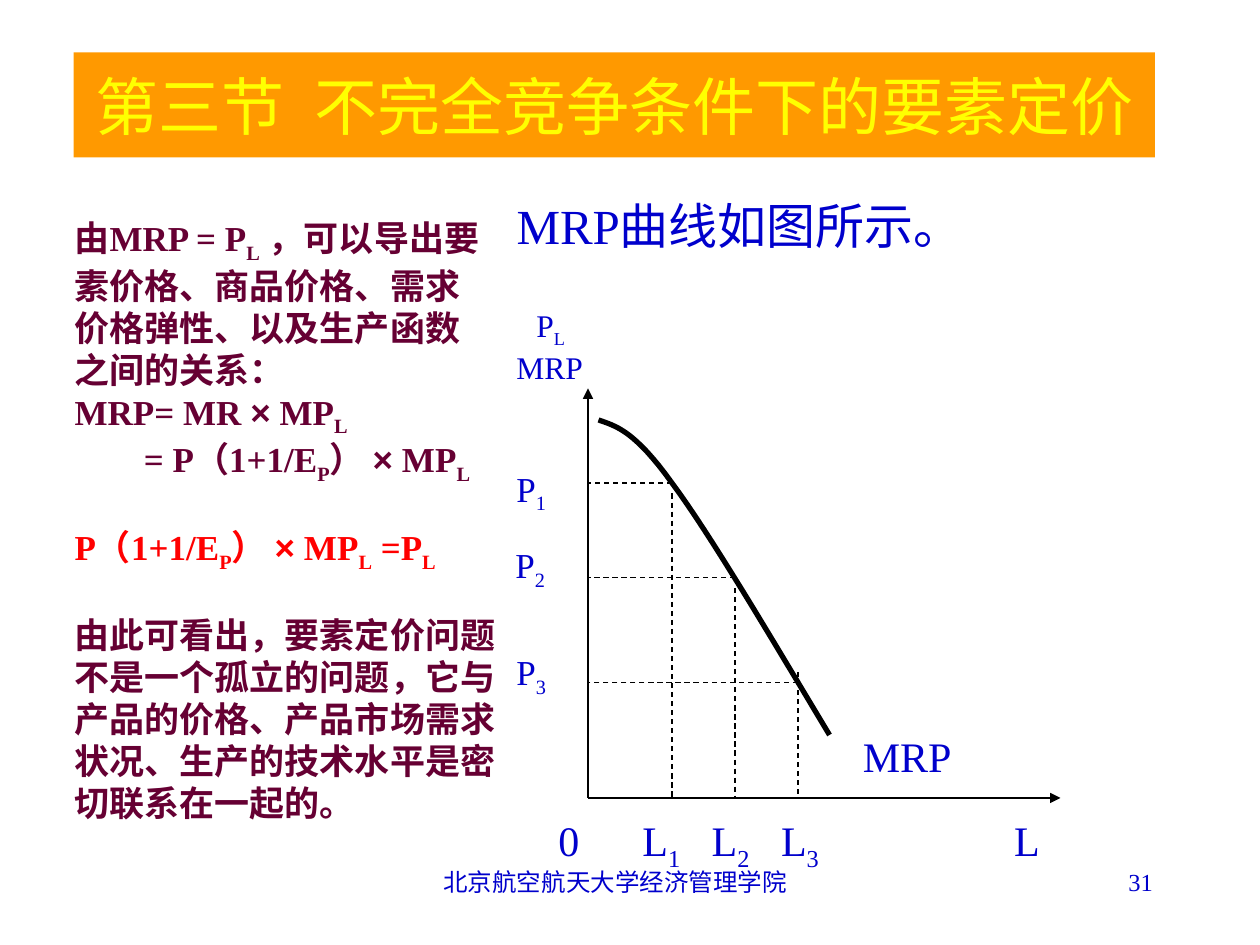
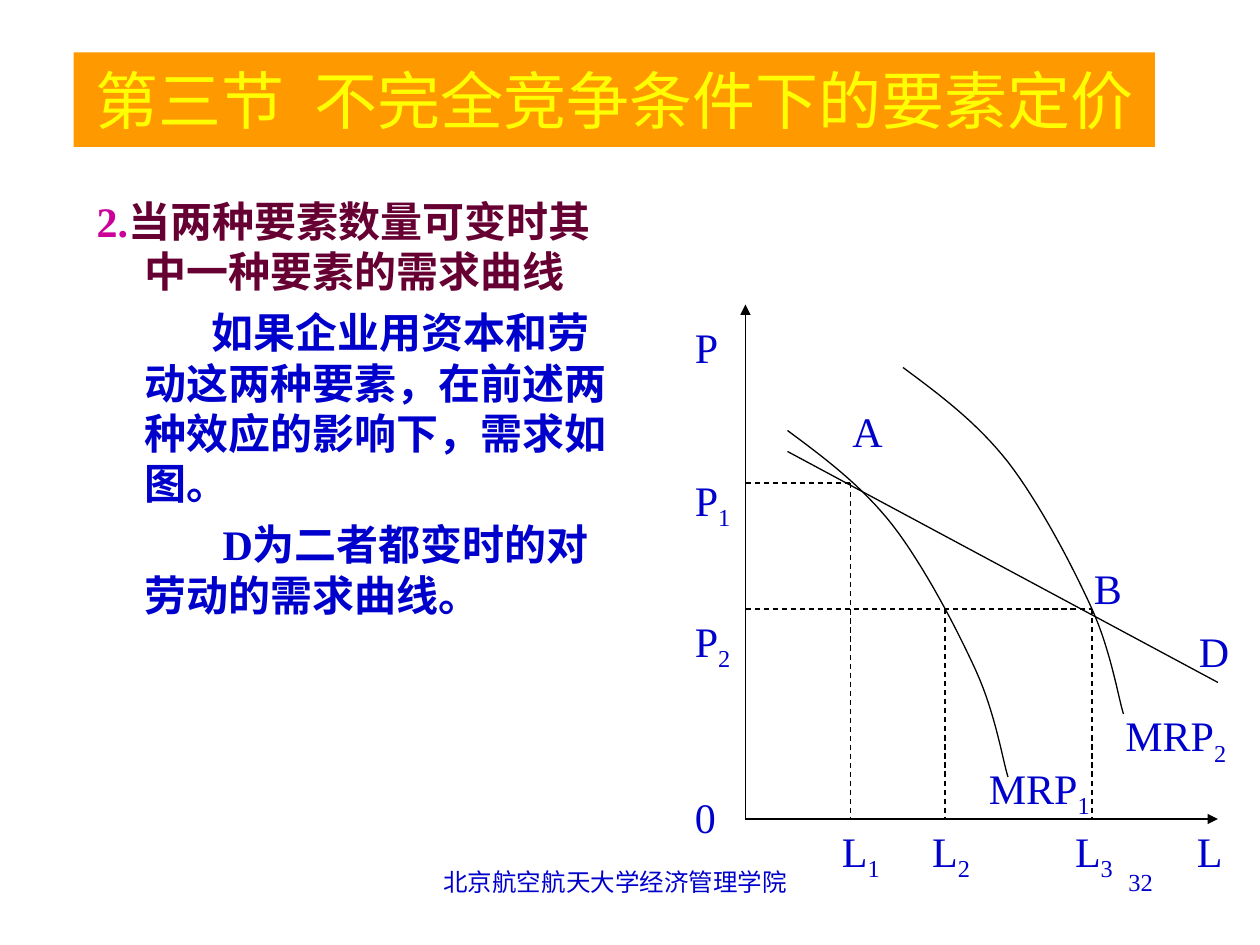
from lxml.etree import SubElement
from pptx import Presentation
from pptx.dml.color import RGBColor
from pptx.enum.dml import MSO_LINE
from pptx.enum.shapes import MSO_CONNECTOR
from pptx.enum.text import MSO_ANCHOR as ANCHOR, MSO_AUTO_SIZE as AUTO, PP_ALIGN as ALIGN
from pptx.oxml.ns import qn
from pptx.util import Emu, Pt

PX = 7620  # 120 px to the inch
ORANGE, YELLOW, BLUE = "FF9900", "FFFF00", "0000CC"
MAROON, RED, MAGENTA, BLACK = "660033", "FF0000", "CC0099", "000000"
TITLE = ("第三节", " ", "不完全竞争条件下的要素定价")
FOOTER = "北京航空航天大学经济管理学院"


def px(n):
    return Emu(round(n * PX))


def rgb(color):
    return RGBColor.from_string(color)


def pieces(text):
    """Split "P_1" markup into (text, is_subscript); "×" stands alone."""
    for i, part in enumerate(text.split("_")):
        if i:
            yield part[0], True
            part = part[1:]
        for piece in part.partition("×"):
            if piece:
                yield piece, False


def bezier(start, *segments):
    """Points along joined cubic curves, 16 steps for each segment."""
    points = [start]
    for c1, c2, end in segments:
        for t in (i / 16 for i in range(1, 17)):
            u = 1 - t
            points.append(tuple(
                u**3 * a + 3 * u * u * t * b + 3 * u * t * t * c + t**3 * d
                for a, b, c, d in zip(start, c1, c2, end)))
        start = end
    return points


class Deck:
    font = "Times New Roman"

    def __init__(self):
        self.prs = Presentation()
        self.prs.slide_width, self.prs.slide_height = px(1200), px(900)
        self.s = None

    def slide(self, layout, number, title_height):
        self.s = self.prs.slides.add_slide(self.prs.slide_layouts[layout])
        self.title(title_height)
        self.textbox(396, 820, 380, 60, FOOTER, 14, align=ALIGN.CENTER)
        self.textbox(860, 820, 250, 60, str(number), 14, align=ALIGN.RIGHT)

    def frame(self, sp, x, y, w, h, anchor=ANCHOR.TOP):
        """Place a text shape and return its text frame."""
        sp.left, sp.top, sp.width, sp.height = map(px, (x, y, w, h))
        tf = sp.text_frame
        tf.word_wrap, tf.auto_size, tf.vertical_anchor = True, AUTO.NONE, anchor
        return tf

    def run(self, p, text, size, color, bold=False, sub=False):
        r = p.add_run()
        r.text = text
        r.font.name = "Arial" if text == "×" else self.font
        r.font.size, r.font.bold = Pt(size), bold
        r.font.color.rgb = rgb(color)
        if sub:
            r.font._element.set("baseline", "-25000")
        return r

    def runs(self, p, text, size, color=BLUE, bold=False):
        for piece, sub in pieces(text):
            self.run(p, piece, size, color, bold, sub)

    def title(self, height):
        sp = self.s.shapes.title
        tf = self.frame(sp, 70, 50, 1030, height, ANCHOR.MIDDLE)
        sp.fill.solid()
        sp.fill.fore_color.rgb = rgb(ORANGE)
        p = tf.paragraphs[0]
        p.alignment = ALIGN.CENTER
        section, gap, topic = [self.run(p, t, 36, YELLOW) for t in TITLE]
        gap.font._element.set("spc", "900")

    def body(self, index, box, paragraphs, size, bold=True):
        """Fill a placeholder; a paragraph is (runs, space before, margin, indent)."""
        tf = self.frame(self.s.placeholders[index], *box)
        for i, (runs, before, margin, indent) in enumerate(paragraphs):
            p = tf.add_paragraph() if i else tf.paragraphs[0]
            pPr = p._p.get_or_add_pPr()
            pPr.set("marL", str(px(margin)))
            pPr.set("indent", str(px(indent)))
            SubElement(pPr, qn("a:buNone"))
            p.space_before = Pt(before)
            for text, color in runs:
                self.runs(p, text, size, color, bold)

    def textbox(self, x, y, w, h, text, size, align=ALIGN.LEFT):
        tf = self.frame(self.s.shapes.add_textbox(0, 0, 0, 0), x, y, w, h)
        p = tf.paragraphs[0]
        p.alignment = align
        self.runs(p, text, size)

    def label(self, x, y, text, size=24):
        width = 40 + 24 * len(text.replace("_", ""))
        self.textbox(x, y, width, 60, text, size)

    def line(self, x1, y1, x2, y2, dash=False, arrow=False):
        c = self.s.shapes.add_connector(
            MSO_CONNECTOR.STRAIGHT, *map(px, (x1, y1, x2, y2)))
        c.line.color.rgb, c.line.width = rgb(BLACK), Pt(0.75)
        if dash:
            c.line.dash_style = MSO_LINE.DASH
        if arrow:
            SubElement(c.line._get_or_add_ln(), qn("a:tailEnd"), type="triangle")
        SubElement(c._element.spPr, qn("a:effectLst"))

    def axes(self, x0, y0, x_end, y_end):
        self.line(x0, y0, x_end, y0, arrow=True)
        self.line(x0, y0, x0, y_end, arrow=True)

    def curve(self, points, width=0.75):
        (x0, y0), *rest = [(px(x), px(y)) for x, y in points]
        fb = self.s.shapes.build_freeform(x0, y0)
        fb.add_line_segments(rest, close=False)
        sp = fb.convert_to_shape()
        sp.shadow.inherit = False
        sp.fill.background()
        sp.line.color.rgb, sp.line.width = rgb(BLACK), Pt(width)


def mrp_curve_slide(d):
    d.slide(3, 31, 100)
    derivation = [
        ("由MRP = P_L ，可以导出要", MAROON, 0, 0),
        ("素价格、商品价格、需求", MAROON, 0, 0),
        ("价格弹性、以及生产函数", MAROON, 0, 0),
        ("之间的关系：", MAROON, 0, 0),
        ("MRP= MR × MP_L", MAROON, 0, 0),
        ("= P（1+1/E_P） × MP_L", MAROON, 0, 66),
        ("P（1+1/E_P） × MP_L =P_L", RED, 23, 0),
        ("由此可看出，要素定价问题", MAROON, 23, 0),
        ("不是一个孤立的问题，它与", MAROON, 0, 0),
        ("产品的价格、产品市场需求", MAROON, 0, 0),
        ("状况、生产的技术水平是密", MAROON, 0, 0),
        ("切联系在一起的。", MAROON, 0, 0),
    ]
    d.body(1, (59, 200, 448, 635),
           [([(text, color)], before, margin, 0)
            for text, color, before, margin in derivation], 20)
    d.body(2, (480, 180, 640, 90),
           [([("MRP曲线如图所示。", BLUE)], 0, 0, 0)], 28, bold=False)

    x0, y0 = 560, 760
    d.axes(x0, y0, 1010, 370)
    d.curve(bezier((570, 400), ((587, 406), (604, 410), (640, 460)),
                   ((677, 510), (733, 605), (790, 700))), 3)
    for x, price, top in ((640, 460, 470), (700, 550, 560), (760, 650, 640)):
        d.line(x, top, x, y0, dash=True)
        d.line(x, price, x0, price, dash=True)

    d.label(499, 286, "P_L", 18)
    d.label(480, 326, "MRP", 18)
    for x, y, text in ((480, 439, "P_1"), (479, 512, "P_2"), (480, 614, "P_3")):
        d.label(x, y, text, 20)
    for x, text in ((520, "0"), (600, "L_1"), (666, "L_2"), (732, "L_3"), (954, "L")):
        d.label(x, 770, text)
    d.label(810, 690, "MRP")


def two_factor_slide(d):
    d.slide(1, 32, 90)
    d.body(1, (80, 180, 530, 610), [
        ([("2.", MAGENTA), ("当两种要素数量可变时其中一种要素的需求曲线", MAROON)], 0, 46, -46),
        ([("如果企业用资本和劳动这两种要素，在前述两种效应的影响下，需求如图。", BLUE)], 6, 46, 63),
        ([("D为二者都变时的对劳动的需求曲线。", BLUE)], 6, 46, 74),
    ], 24)

    x0, y0 = 710, 780
    d.axes(x0, y0, 1160, 290)
    mrp1 = bezier((750, 410), ((785, 436), (820, 462), (850, 500)),
                  ((880, 539), (912, 600), (930, 640)),
                  ((948, 680), (955, 724), (960, 740)))
    d.curve(mrp1)
    d.curve([(x + 110, y - 60) for x, y in mrp1])
    d.line(750, 430, 1160, 650)
    for x, price in ((810, 460), (1040, 580)):
        d.line(x0, price, x, price, dash=True)
    for x, price in ((810, 460), (900, 580), (1040, 580)):
        d.line(x, price, x, y0, dash=True)

    for y, text in ((300, "P"), (446, "P_1"), (580, "P_2"), (748, "0")):
        d.label(650, y, text)
    for x, text in ((790, "L_1"), (876, "L_2"), (1012, "L_3"), (1128, "L")):
        d.label(x, 780, text)
    for x, y, text in ((1060, 670, "MRP_2"), (930, 720, "MRP_1"),
                       (1130, 590, "D"), (800, 380, "A"), (1030, 530, "B")):
        d.label(x, y, text)


def main():
    d = Deck()
    mrp_curve_slide(d)
    two_factor_slide(d)
    d.prs.save("out.pptx")


if __name__ == "__main__":
    main()
